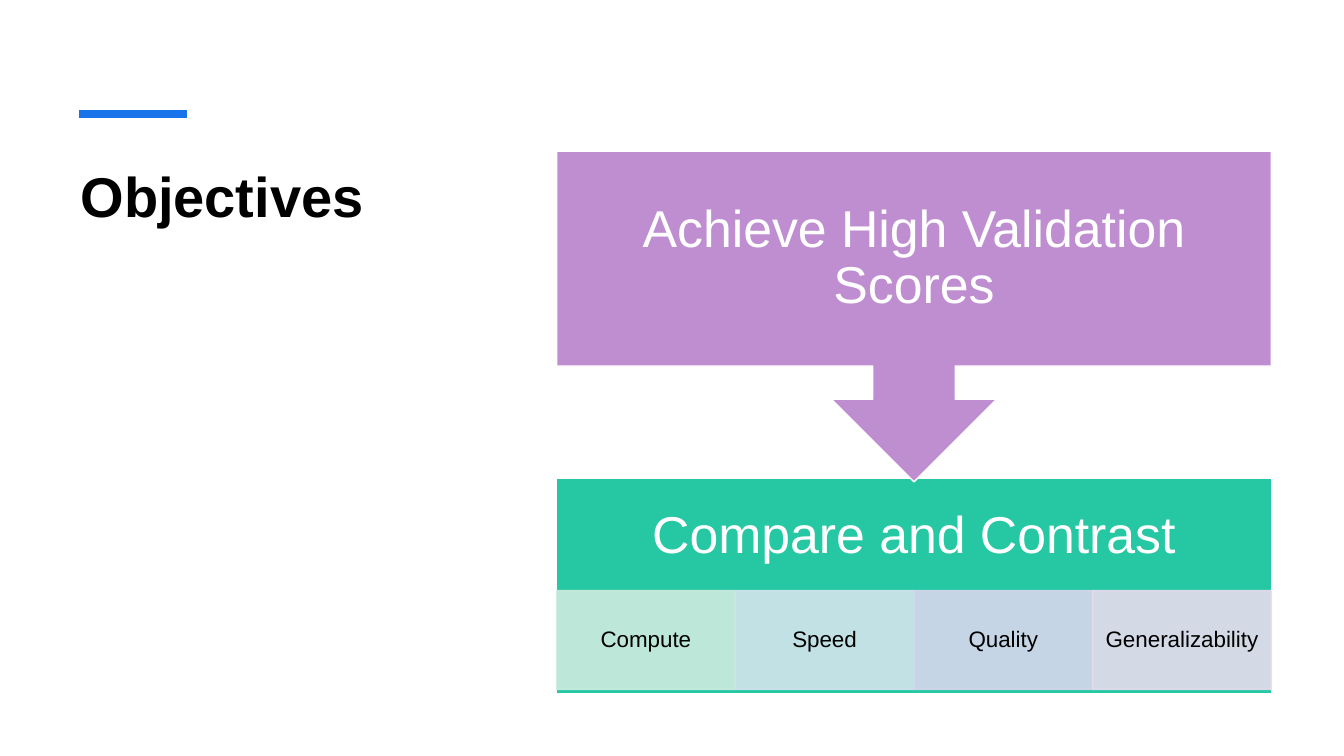
"""Build the Objectives slide with a two-step process diagram."""
from lxml import etree
from pptx import Presentation
from pptx.dml.color import RGBColor
from pptx.enum.shapes import MSO_CONNECTOR, MSO_SHAPE
from pptx.enum.text import MSO_ANCHOR, PP_ALIGN
from pptx.oxml.ns import qn
from pptx.util import Inches, Pt


def paint(color_format, color, opacity=100):
    color_format.solid()
    color_format.fore_color.rgb = RGBColor.from_string(color)
    if opacity < 100:
        for node in color_format._xPr.iter(qn("a:srgbClr")):
            etree.SubElement(node, qn("a:alpha"), val=str(opacity * 1000))


def write(shape, text, size, color, margins, bold=False,
          align=PP_ALIGN.CENTER, anchor=MSO_ANCHOR.MIDDLE, spacing=0.9):
    frame = shape.text_frame
    frame.word_wrap = True
    frame.vertical_anchor = anchor
    for side, margin in zip(("left", "top", "right", "bottom"), margins):
        setattr(frame, f"margin_{side}", Inches(margin))
    para = frame.paragraphs[0]
    para.alignment = align
    para.line_spacing = spacing
    span = para.add_run()
    span.text = text
    for name, value in {"name": "Arial", "size": Pt(size), "bold": bold}.items():
        setattr(span.font, name, value)
    paint(span.font.fill, color)


deck = Presentation()
deck.slide_width, deck.slide_height = Inches(13.33), Inches(7.5)
page = deck.slides.add_slide(deck.slide_layouts[6])

title = page.shapes.add_textbox(Inches(0.7), Inches(1.5), Inches(4.02), Inches(4.29))
write(title, "Objectives", 40, "000000", (0.1, 0.1, 0.1, 0.05), bold=True,
      align=PP_ALIGN.LEFT, anchor=MSO_ANCHOR.TOP, spacing=1.0)

accent = page.shapes.add_connector(
    MSO_CONNECTOR.STRAIGHT, Inches(0.78), Inches(1.13), Inches(1.85), Inches(1.13))
accent.line.width = Pt(6)
paint(accent.line.fill, "1973EB")
etree.SubElement(accent._element.spPr, qn("a:effectLst"))

left, width = 5.52, 7.09
criteria = [("Compute", "CDEBE0"), ("Speed", "D2E4EC"),
            ("Quality", "D7D7ED"), ("Generalizability", "E8DBEE")]
cell_width = width / len(criteria)

rectangle, callout = MSO_SHAPE.RECTANGLE, MSO_SHAPE.DOWN_ARROW_CALLOUT
blocks = [(rectangle, left, 4.75, width, 2.13, "25C8A2", "FFFFFF", 100,
           "Compare and Contrast", 37, "FFFFFF", (0.29, 0.29, 0.29, 1.27))]
for index, (criterion, tint) in enumerate(criteria):
    blocks.append((rectangle, left + index * cell_width, 5.86, cell_width, 0.98,
                   tint, tint, 90, criterion, 16, "000000", (0.1, 0.02, 0.1, 0.02)))
blocks.append((callout, left, 1.5, width, 3.28, "BF8ED1", "FFFFFF", 100,
               "Achieve High Validation Scores", 37, "FFFFFF", (0.29,) * 4))

for kind, x, y, w, h, fill, outline, opacity, text, size, color, margins in blocks:
    box = page.shapes.add_shape(kind, Inches(x), Inches(y), Inches(w), Inches(h))
    box.shadow.inherit = False
    box.line.width = Pt(1)
    paint(box.fill, fill)
    paint(box.line.fill, outline)
    if opacity < 100:
        for node in box._element.spPr.iter(qn("a:srgbClr")):
            etree.SubElement(node, qn("a:alpha"), val=str(opacity * 1000))
    write(box, text, size, color, margins)

deck.save("out.pptx")
